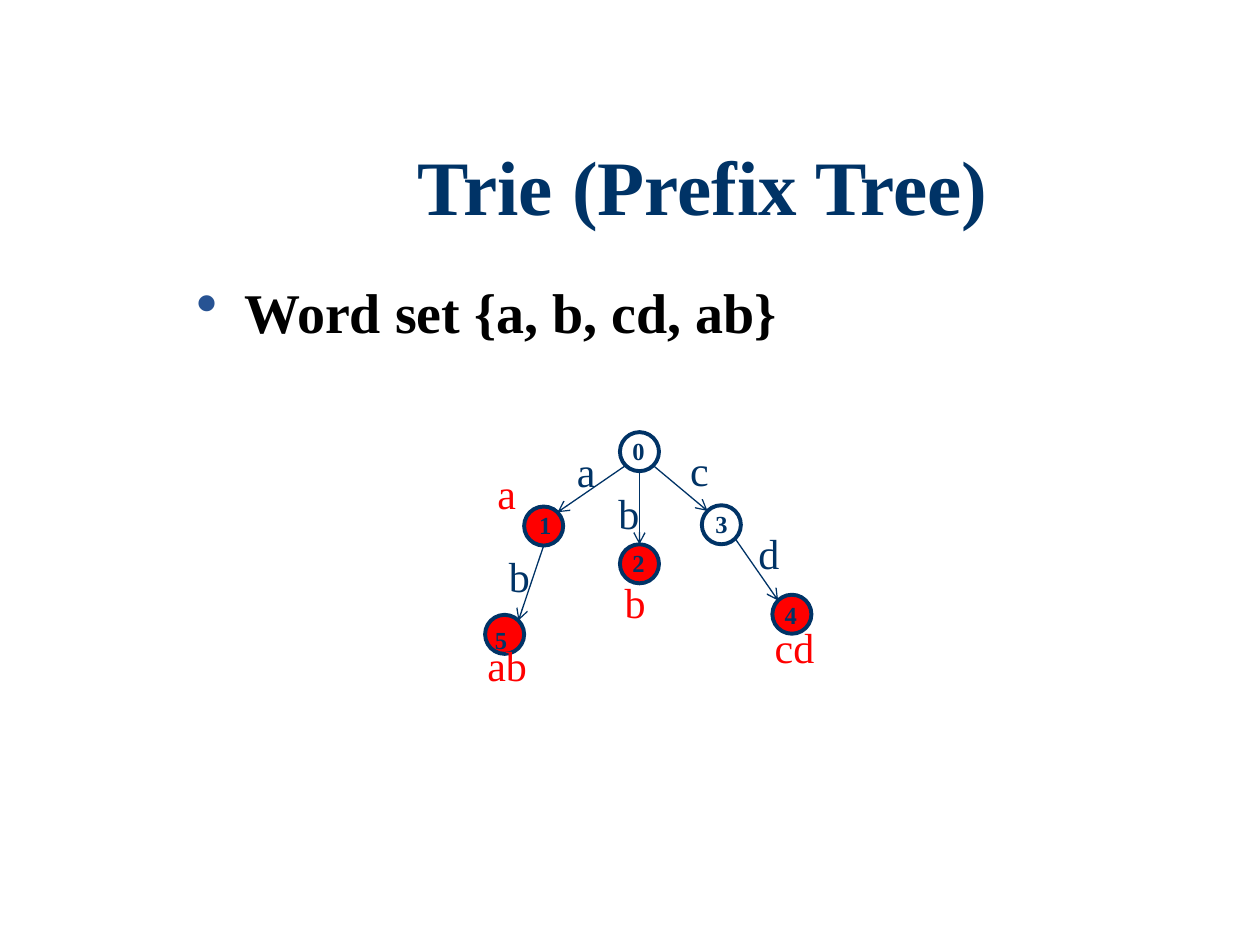
import math

import pptx
import pptx.dml.color
import pptx.enum.shapes
import pptx.enum.text
import pptx.oxml
import pptx.oxml.ns
import pptx.util
from pptx.util import Inches

NAVY = pptx.dml.color.RGBColor(0x00, 0x33, 0x66)
RED = pptx.dml.color.RGBColor(0xFF, 0x00, 0x00)
BLACK = pptx.dml.color.RGBColor(0x00, 0x00, 0x00)
FONT = "Times New Roman"
NODE_SIZE = 0.31

# number: (left, top, ends a word, offset of the number from the node)
NODES = {
    0: (1.15, 0.02, False, (0, -0.02)),
    1: (0.39, 0.61, True, (0.02, -0.02)),
    2: (1.15, 0.91, True, (0, -0.02)),
    3: (1.80, 0.60, False, (0.01, -0.02)),
    4: (2.36, 1.31, True, (0, -0.01)),
    5: (0.08, 1.47, True, (-0.02, 0.03)),
}
# parent, child, angles in degrees where the arrow leaves and arrives,
# letter, left and top of the letter
EDGES = [
    (0, 1, 135, -45, "a", 0.71, 0.08),
    (0, 2, 90, -90, "b", 1.04, 0.41),
    (0, 3, 45, -135, "c", 1.61, 0.07),
    (3, 4, 45, -135, "d", 2.15, 0.73),
    (1, 5, 90, -45, "b", 0.17, 0.91),
]
WORDS = [("ab", 0, 1.62), ("b", 1.09, 1.12), ("cd", 2.28, 1.47), ("a", 0.08, 0.25)]


def place(shape, left, top, width, height):
    shape.left, shape.top = Inches(left), Inches(top)
    shape.width, shape.height = Inches(width), Inches(height)


def set_font(p, size, color, bold=False):
    for r in p.runs:
        r.font.name = FONT
        r.font.size = pptx.util.Pt(size)
        r.font.bold = bold
        r.font.color.rgb = color


def add_title(s, left, top, width, height):
    title = s.shapes.title
    place(title, left, top, width, height)
    tf = title.text_frame
    tf.text = "Trie (Prefix Tree)"
    tf.vertical_anchor = pptx.enum.text.MSO_ANCHOR.MIDDLE
    tf.margin_bottom = Inches(0.1)
    p = tf.paragraphs[0]
    p.alignment = pptx.enum.text.PP_ALIGN.CENTER
    p.line_spacing = 0.9
    set_font(p, 44, NAVY, True)


def add_bullet(s, left, top, width, height):
    box = s.shapes.add_textbox(*map(Inches, (left, top, width, height)))
    tf = box.text_frame
    tf.word_wrap = True
    tf.margin_top = Inches(0.1)
    tf.text = "Word set {a, b, cd, ab}"
    p = tf.paragraphs[0]
    pPr = p._p.get_or_add_pPr()
    pPr.set("marL", str(Inches(0.38)))
    pPr.set("indent", str(-Inches(0.38)))
    ns = pptx.oxml.ns.nsdecls("a")
    for xml in (
        f'<a:buClr {ns}><a:srgbClr val="275393"/></a:buClr>',
        f'<a:buSzPct {ns} val="110000"/>',
        f'<a:buChar {ns} char="•"/>',
    ):
        pPr.append(pptx.oxml.parse_xml(xml))
    set_font(p, 32, BLACK, True)


def add_label(s, text, left, top, size, color, bold=False):
    """Add a one-line text box sized to its text."""
    if bold:
        width, height = 0.3, 0.34
    else:
        advance = sum(0.148 if c in "ac" else 0.167 for c in text)
        width, height = 0.2 + advance, 0.5
    box = s.shapes.add_textbox(*map(Inches, (left, top, width, height)))
    tf = box.text_frame
    tf.word_wrap = False
    tf.auto_size = pptx.enum.text.MSO_AUTO_SIZE.SHAPE_TO_FIT_TEXT
    tf.text = text
    set_font(tf.paragraphs[0], size, color, bold)


def rim_point(number, angle):
    """Return the point on a node's circle, with angles clockwise from the right."""
    left, top = NODES[number][:2]
    radius, turn = NODE_SIZE / 2, math.radians(angle)
    return (left + radius * (1 + math.cos(turn)),
            top + radius * (1 + math.sin(turn)))


def add_arrow(s, x1, y1, x2, y2):
    line = s.shapes.add_connector(
        pptx.enum.shapes.MSO_CONNECTOR.STRAIGHT, *map(Inches, (x1, y1, x2, y2)))
    line.line.color.rgb = NAVY
    line.line.width = pptx.util.Pt(0.75)
    ns = pptx.oxml.ns.nsdecls("a")
    line.line._get_or_add_ln().append(
        pptx.oxml.parse_xml(f'<a:tailEnd {ns} type="arrow"/>'))
    line._element.spPr.append(pptx.oxml.parse_xml(f"<a:effectLst {ns}/>"))


def add_node(s, left, top, ends_word):
    node = s.shapes.add_shape(
        pptx.enum.shapes.MSO_SHAPE.OVAL,
        *map(Inches, (left, top, NODE_SIZE, NODE_SIZE)))
    node.shadow.inherit = False
    node.line.color.rgb = NAVY
    node.line.width = pptx.util.Pt(2.25)
    if ends_word:
        node.fill.solid()
        node.fill.fore_color.rgb = RED
    else:
        node.fill.background()


def add_trie(s, left, top):
    for x, y, ends_word, _ in NODES.values():
        add_node(s, left + x, top + y, ends_word)
    for parent, child, leave, arrive, letter, x, y in EDGES:
        x1, y1 = rim_point(parent, leave)
        x2, y2 = rim_point(child, arrive)
        add_arrow(s, left + x1, top + y1, left + x2, top + y2)
        add_label(s, letter, left + x, top + y, 24, NAVY)
    for word, x, y in WORDS:
        add_label(s, word, left + x, top + y, 24, RED)
    for number, (x, y, _, (dx, dy)) in NODES.items():
        add_label(s, str(number), left + x + dx, top + y + dy, 14, NAVY, True)


def main():
    prs = pptx.Presentation()
    prs.slide_width, prs.slide_height = Inches(10), Inches(7.5)
    s = prs.slides.add_slide(prs.slide_layouts[5])
    add_title(s, 1.58, 1.08, 8, 0.92)
    add_bullet(s, 1.46, 2.1, 8, 0.79)
    add_trie(s, 3.77, 3.41)
    prs.save("out.pptx")


if __name__ == "__main__":
    main()
